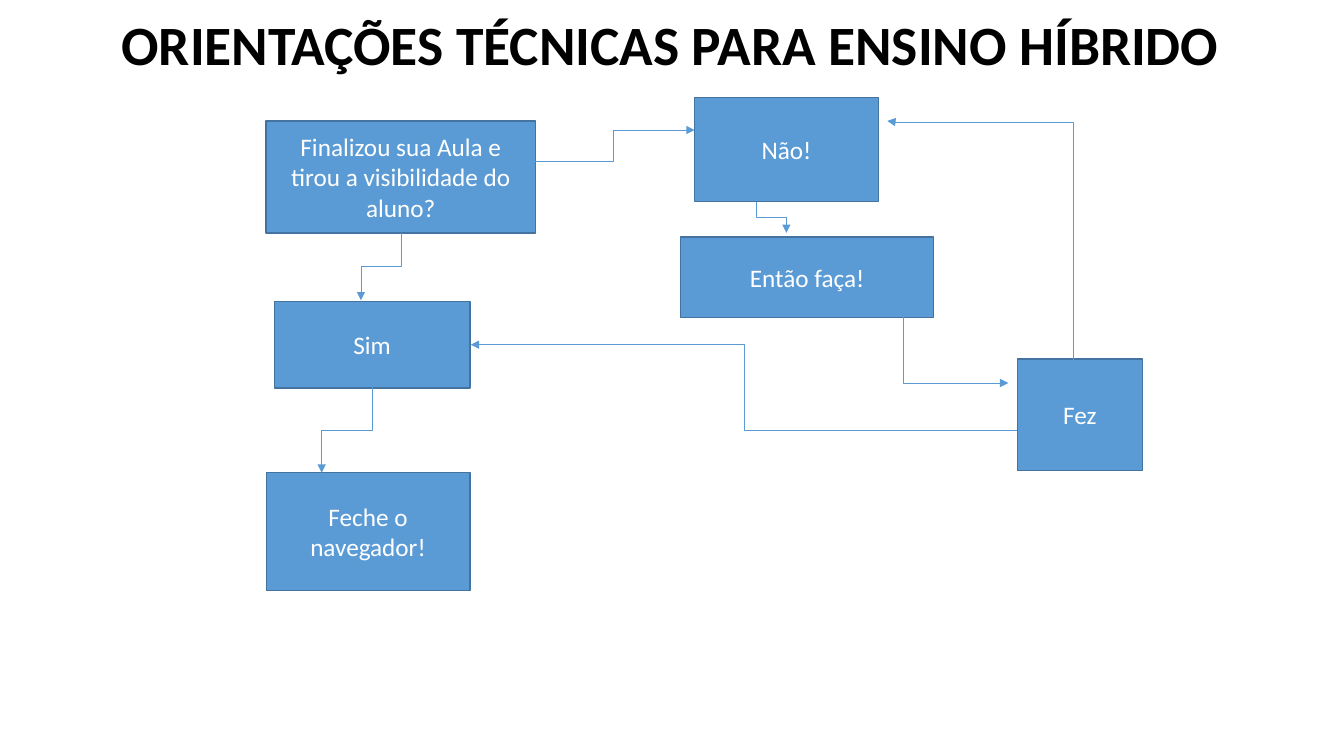
from dataclasses import dataclass

from lxml.etree import SubElement
from pptx import Presentation
from pptx.dml.color import RGBColor
from pptx.enum.shapes import MSO_CONNECTOR as Connector, MSO_SHAPE as Preset
from pptx.enum.text import MSO_ANCHOR as Anchor, MSO_AUTO_SIZE as AutoSize, PP_ALIGN as Align
from pptx.oxml.ns import qn
from pptx.slide import Slide
from pptx.text.text import TextFrame
from pptx.util import Inches, Pt


@dataclass(frozen=True)
class Theme:
    font: str = "Calibri"
    title_color: RGBColor = RGBColor(0x00, 0x00, 0x00)
    box_text: RGBColor = RGBColor(0xFF, 0xFF, 0xFF)
    box_fill: RGBColor = RGBColor(0x5B, 0x9B, 0xD5)
    box_line: RGBColor = RGBColor(0x43, 0x73, 0x9E)
    arrow: RGBColor = RGBColor(0x5B, 0x9B, 0xD5)
    title_size: float = 39.6
    box_size: float = 18
    box_width: float = 1
    arrow_width: float = 0.5


@dataclass(frozen=True)
class Step:
    text: str
    left: float
    top: float
    width: float
    height: float


@dataclass(frozen=True)
class Arrow:
    start: tuple[float, float]
    end: tuple[float, float]
    vertical: bool = False  # leaves its box upwards or downwards
    bend: float = 0.5  # share of the way at which it turns


THEME = Theme()

STEPS = [
    Step("Finalizou sua Aula e tirou a visibilidade do aluno?", 2.64, 1.2, 2.67, 1.11),
    Step("Sim", 2.72, 2.99, 1.94, 0.86),
    Step("Feche o navegador!", 2.64, 4.69, 2.02, 1.17),
    Step("Não!", 6.89, 0.97, 1.82, 1.03),
    Step("Então faça!", 6.75, 2.35, 2.51, 0.8),
    Step("Fez", 10.09, 3.56, 1.24, 1.11),
]

ARROWS = [
    Arrow((3.98, 2.31), (3.58, 2.98), vertical=True),
    Arrow((3.69, 3.84), (3.19, 4.69), vertical=True),
    Arrow((5.27, 1.6), (6.89, 1.29)),
    Arrow((7.5, 2), (7.8, 2.31), vertical=True),
    Arrow((7.92, 3.12), (10, 3.8)),
    Arrow((10.09, 4.27), (4.67, 3.42)),
    Arrow((10.65, 3.62), (8.8, 1.2), vertical=True, bend=0.996),
]


def write_text(frame: TextFrame, text: str, font_format: dict) -> None:
    frame.text = text
    frame.word_wrap = True
    frame.auto_size = AutoSize.NONE
    frame.vertical_anchor = Anchor.MIDDLE
    para = frame.paragraphs[0]
    para.alignment = Align.CENTER
    span = para.runs[0]
    color = font_format["color"]
    for name, value in font_format.items():
        if name != "color":
            setattr(span.font, name, value)
    span.font.color.rgb = color


def add_title(page: Slide, text: str) -> None:
    title = page.shapes.title
    place = {"left": 0.41, "top": 0.09, "width": 12.48, "height": 0.76}
    for name, value in place.items():
        setattr(title, name, Inches(value))
    write_text(title.text_frame, text, {
        "name": THEME.font, "size": Pt(THEME.title_size), "bold": True,
        "color": THEME.title_color})
    title.text_frame.paragraphs[0].line_spacing = 0.9


def add_step(page: Slide, step: Step) -> None:
    place = map(Inches, (step.left, step.top, step.width, step.height))
    box = page.shapes.add_shape(Preset.FLOWCHART_PROCESS, *place)
    box.shadow.inherit = False
    box.fill.solid()
    box.fill.fore_color.rgb = THEME.box_fill
    box.line.color.rgb = THEME.box_line
    box.line.width = Pt(THEME.box_width)
    write_text(box.text_frame, step.text, {
        "name": THEME.font, "size": Pt(THEME.box_size), "color": THEME.box_text})


def add_arrow(page: Slide, arrow: Arrow) -> None:
    (x1, y1), (x2, y2) = arrow.start, arrow.end
    across, down = x2 - x1, y2 - y1
    # A vertical elbow is a horizontal one turned about its centre
    if arrow.vertical:
        middle_x, middle_y = (x1 + x2) / 2, (y1 + y2) / 2
        half_width = abs(down) / 2
        half_height = abs(across) / 2 * (-1 if across * down > 0 else 1)
        x1, x2 = middle_x - half_width, middle_x + half_width
        y1, y2 = middle_y - half_height, middle_y + half_height
    line = page.shapes.add_connector(Connector.ELBOW, *map(Inches, (x1, y1, x2, y2)))
    line.line.color.rgb = THEME.arrow
    line.line.width = Pt(THEME.arrow_width)

    # Turn, bend, arrowhead and no shadow
    properties = line._element.spPr
    if arrow.vertical:
        quarter_turns = 1 if down > 0 else 3
        properties.find(qn("a:xfrm")).set("rot", str(quarter_turns * 90 * 60000))
    guides = properties.find(qn("a:prstGeom")).get_or_add_avLst()
    SubElement(guides, qn("a:gd"), name="adj1", fmla=f"val {round(arrow.bend * 100000)}")
    SubElement(properties.find(qn("a:ln")), qn("a:tailEnd"), type="triangle")
    SubElement(properties, qn("a:effectLst"))


def main() -> None:
    deck = Presentation()
    deck.slide_width, deck.slide_height = Inches(13.33), Inches(7.5)
    page = deck.slides.add_slide(deck.slide_layouts[5])
    add_title(page, "ORIENTAÇÕES TÉCNICAS PARA ENSINO HÍBRIDO")
    for step in STEPS:
        add_step(page, step)
    for arrow in ARROWS:
        add_arrow(page, arrow)
    deck.save("out.pptx")


if __name__ == "__main__":
    main()
